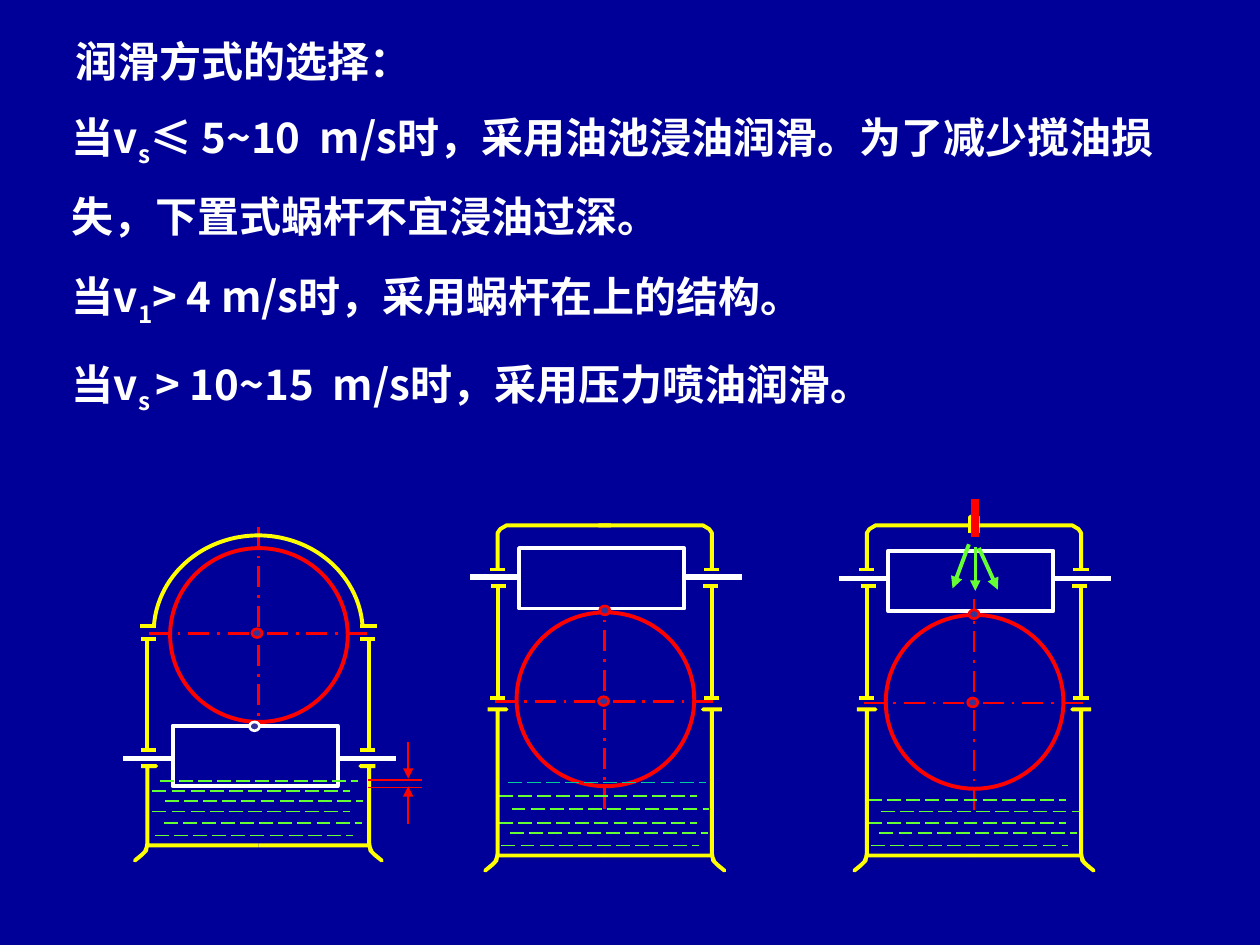
from pptx import Presentation
from pptx.dml.color import RGBColor
from pptx.enum.dml import MSO_LINE
from pptx.enum.shapes import MSO_CONNECTOR, MSO_SHAPE
from pptx.enum.text import MSO_ANCHOR, MSO_AUTO_SIZE, PP_ALIGN
from pptx.oxml.ns import qn
from pptx.util import Inches, Pt
from lxml import etree

NAVY = RGBColor(0x00, 0x00, 0x99)
WHITE = RGBColor(0xFF, 0xFF, 0xFF)
RED = RGBColor(0xFF, 0x00, 0x00)
YELLOW = RGBColor(0xFF, 0xFF, 0x00)
GREEN = RGBColor(0x66, 0xFF, 0x33)
TEAL = RGBColor(0x00, 0xCC, 0x99)
INDIGO = RGBColor(0x33, 0x33, 0x99)
FONT = "Noto Sans CJK SC"

STRAIGHT = MSO_CONNECTOR.STRAIGHT
RECT, OVAL, ARC = MSO_SHAPE.RECTANGLE, MSO_SHAPE.OVAL, MSO_SHAPE.ARC
DASH, DASH_DOT = MSO_LINE.LONG_DASH, MSO_LINE.LONG_DASH_DOT
LEFT, TOP, NO_FIT = PP_ALIGN.LEFT, MSO_ANCHOR.TOP, MSO_AUTO_SIZE.NONE


def add_text(p, text, size=24, color=WHITE, bold=True, baseline=0):
    r = p.add_run()
    r.text = text
    r.font.size = Pt(size)
    r.font.bold = bold
    r.font.color.rgb = color
    r.font.name = FONT
    rPr = r.font._element
    etree.SubElement(rPr, qn("a:ea")).set("typeface", FONT)
    if baseline:
        rPr.set("baseline", str(baseline * 1000))


class Drawing:
    wall_width = 2.25
    oil_length = 1.57

    def __init__(self, slide):
        self.s = slide

    def placeholder(self, sp, x, y, w, h, paragraphs, inset=(0, 0), pitch=None, gap=0):
        sp.left, sp.top, sp.width, sp.height = map(Inches, (x, y, w, h))
        tf = sp.text_frame
        tf.word_wrap = True
        tf.auto_size = NO_FIT
        tf.vertical_anchor = TOP
        tf.margin_left = tf.margin_right = Inches(inset[0])
        tf.margin_top = tf.margin_bottom = Inches(inset[1])
        for i, runs in enumerate(paragraphs):
            p = tf.add_paragraph() if i else tf.paragraphs[0]
            pPr = p._p.get_or_add_pPr()
            pPr.set("marL", "0")
            pPr.set("indent", "0")
            etree.SubElement(pPr, qn("a:buNone"))
            p.alignment = LEFT
            p.space_before = Pt(gap if i else 0)
            if pitch:
                p.line_spacing = Pt(pitch)
            for text, baseline in runs:
                add_text(p, text, baseline=baseline)

    def line(self, x1, y1, x2, y2, color, width=wall_width, dash=None, arrow=False):
        c = self.s.shapes.add_connector(STRAIGHT, *map(Inches, (x1, y1, x2, y2)))
        c.line.color.rgb = color
        c.line.width = Pt(width)
        if dash:
            c.line.dash_style = dash
        if arrow:
            etree.SubElement(c.line._get_or_add_ln(), qn("a:tailEnd")).set("type", "triangle")
        etree.SubElement(c._element.spPr, qn("a:effectLst"))

    def style(self, sp, color, width=wall_width, fill=None):
        sp.shadow.inherit = False
        if fill is None:
            sp.fill.background()
        else:
            sp.fill.solid()
            sp.fill.fore_color.rgb = fill
        sp.line.color.rgb = color
        sp.line.width = Pt(width)

    def shape(self, kind, x, y, w, h, color, width=wall_width, fill=None):
        sp = self.s.shapes.add_shape(kind, *map(Inches, (x, y, w, h)))
        self.style(sp, color, width, fill)
        return sp

    def outline(self, points):
        pts = [(Inches(x), Inches(y)) for x, y in points]
        fb = self.s.shapes.build_freeform(*pts[0])
        fb.add_line_segments(pts[1:], close=False)
        self.style(fb.convert_to_shape(), YELLOW)

    def dot(self, cx, cy, color=RED):
        self.shape(OVAL, cx - 0.04, cy - 0.04, 0.08, 0.07, color, 1.5, INDIGO)

    def wheel(self, cx, cy, top, axis):
        self.shape(OVAL, cx - 0.7, top, 1.41, 1.38, RED)
        self.line(cx - 0.87, cy, cx + 0.9, cy, RED, 1.5, DASH_DOT)
        self.line(cx, axis[0], cx, axis[1], RED, 1.5, DASH_DOT)
        self.dot(cx - 0.01, cy)

    def worm(self, cx, cy, top):
        self.line(cx - 1.07, cy, cx + 1.09, cy, WHITE, 3)
        self.shape(RECT, cx - 0.68, top, 1.31, 0.48, WHITE, fill=NAVY)

    def oil(self, cx, levels, color=GREEN):
        for offset, y in levels:
            self.line(cx - offset, y, cx - offset + self.oil_length, y, color, 1, DASH)

    def housing(self, cx, wall, flanges, span, lip, base, floor, cover=()):
        foot = [(0, -0.02), (0.01, 0.04), (0.04, 0.07), (0.1, 0.12),
                (0.05, 0.08), (0.02, 0.05), (0, 0)]
        profile = [(wall + lip, base), (wall - 0.07, base), (wall, base)]
        profile += [(wall + dx, floor + dy) for dx, dy in foot] + [(0, floor)]
        for side in (-1, 1):
            for y, outer, inner in flanges:
                self.line(cx + side * outer, y, cx + side * inner, y, YELLOW)
            self.line(cx + side * wall, span[0], cx + side * wall, span[1], YELLOW)
            for points in filter(None, (profile, cover)):
                self.outline([(cx + side * x, y) for x, y in points])


def main():
    prs = Presentation()
    prs.slide_width, prs.slide_height = Inches(10), Inches(7.5)
    s = prs.slides.add_slide(prs.slide_layouts[1])
    s.background.fill.solid()
    s.background.fill.fore_color.rgb = NAVY
    d = Drawing(s)

    d.placeholder(s.shapes.title, 0.5, 0.23, 2.86, 0.5,
                  [[("润滑方式的选择：", 0)]], inset=(0.1, 0.05))
    d.placeholder(s.placeholders[1], 0.57, 0.77, 8.85, 2.57, [
        [("当v", 0), ("s", -25),
         ("≤ 5~10  m/s时，采用油池浸油润滑。为了减少搅油损失，下置式蜗杆不宜浸油过深。", 0)],
        [("当v", 0), ("1", -25), ("> 4 m/s时，采用蜗杆在上的结构。", 0)],
        [("当v", 0), ("s ", -25), ("> 10~15  m/s时，采用压力喷油润滑。", 0)],
    ], pitch=41, gap=9)

    low, high, spray = 2.05, 4.8, 7.73

    d.wheel(low, 5.03, 4.35, (4.18, 5.87))
    d.worm(low, 6.02, 5.76)
    d.dot(low - 0.03, 5.77, WHITE)
    dome = d.shape(ARC, low - 0.83, 4.25, 1.66, 1.54, YELLOW)
    for i, degrees in enumerate((183, 357)):
        dome.adjustments[i] = degrees * 0.6
    d.housing(low, 0.88, [(4.97, 0.94, 0.81), (5.07, 0.93, 0.81), (5.95, 0.93, 0.81)],
              (5.07, 5.96), 0.05, 6.08, 6.71)
    d.oil(low, [(0.78, 6.2), (0.84, 6.28), (0.74, 6.36),
                (0.84, 6.44), (0.75, 6.53), (0.82, 6.63)])
    for y in (6.19, 6.25):
        d.line(2.92, y, 3.35, y, RED, 1)
    for start, end in ((5.89, 6.18), (6.54, 6.24)):
        d.line(3.24, start, 3.24, end, RED, 1, arrow=True)

    upper = dict(wall=0.85, flanges=[(4.52, 0.91, 0.79), (4.65, 0.9, 0.78), (5.54, 0.91, 0.79)],
                 span=(4.65, 5.55), lip=0.08, base=5.63, floor=6.79)
    shoulder = [(0.85, 4.53), (0.85, 4.23), (0.83, 4.2), (0.78, 4.17)]
    offsets = (0.84, 0.74, 0.84, 0.75, 0.82)

    d.wheel(high, 5.57, 4.86, (6.42, 4.73))
    d.worm(high, 4.58, 4.35)
    d.dot(high, 4.85)
    d.oil(high, zip(offsets, (6.32, 6.42, 6.53, 6.61, 6.71)))
    d.oil(high, [(0.77, 6.21)], TEAL)
    d.housing(high, cover=shoulder + [(-0.05, 4.17)], **upper)

    d.worm(spray, 4.59, 4.37)
    d.wheel(spray, 5.58, 4.88, (6.43, 4.75))
    d.oil(spray, zip(offsets, (6.35, 6.44, 6.53, 6.61, 6.71)))
    d.housing(spray, cover=shoulder + [(0.03, 4.17), (0.03, 4.1), (0.03, 4.23)], **upper)
    d.dot(spray, 4.88)
    for x1, y1, x2, y2, width in ((7.74, 4.34, 7.74, 4.69, 1.5),
                                  (7.69, 4.32, 7.56, 4.67, 2.25),
                                  (7.77, 4.35, 7.92, 4.68, 2.25)):
        d.line(x1, y1, x2, y2, GREEN, width, arrow=True)
    d.line(7.74, 4.26, 7.74, 3.96, RED, 4.5)

    prs.save("out.pptx")


if __name__ == "__main__":
    main()
